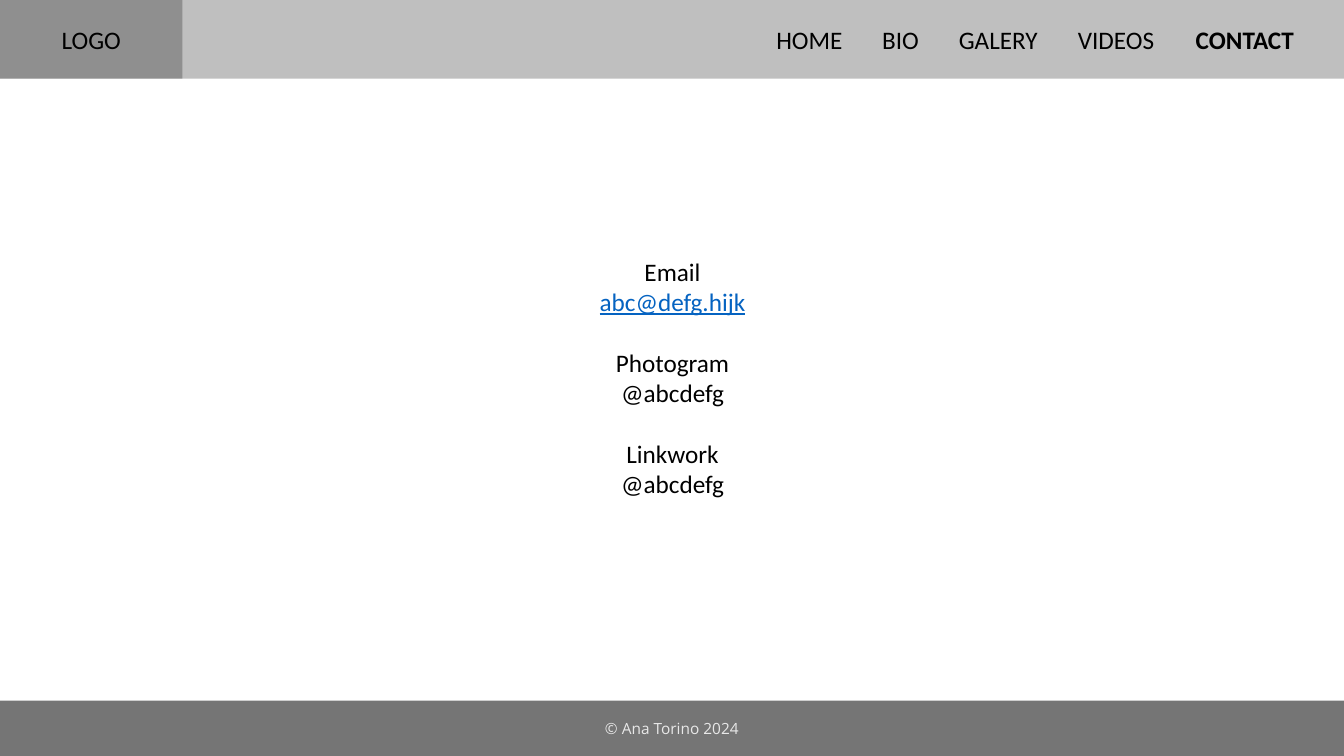
"""Build the contact page of a website wireframe."""
from dataclasses import dataclass

from lxml.etree import SubElement
from pptx import Presentation
from pptx.dml.color import RGBColor
from pptx.enum.shapes import MSO_SHAPE
from pptx.enum.text import MSO_ANCHOR, PP_ALIGN
from pptx.oxml.ns import qn
from pptx.util import Inches, Pt

LOGO = "LOGO"
MENU = [("HOME", 7.7), ("BIO", 8.75), ("GALERY", 9.51), ("VIDEOS", 10.69), ("CONTACT", 11.86)]
CURRENT = "CONTACT"
CONTACTS = [
    ("Email", "abc@defg.hijk"),
    ("Photogram", "@abcdefg"),
    ("Linkwork", "@abcdefg"),
]
FOOTER = "© Ana Torino 2024"

PAGE_WIDTH, PAGE_HEIGHT = 13.33, 7.5
HEADER_HEIGHT, FOOTER_HEIGHT, LOGO_WIDTH = 0.78, 0.55, 1.81


@dataclass(frozen=True)
class Theme:
    ink: RGBColor = RGBColor(0, 0, 0)
    link: RGBColor = RGBColor(0x05, 0x63, 0xC1)
    pale: RGBColor = RGBColor(0xE8, 0xE8, 0xE8)
    body_font: str = "Calibri"
    footer_font: str = "Open Sans"
    body_size: int = 18
    footer_size: int = 11
    group_gap: int = 22
    header_opacity: int = 25
    footer_opacity: int = 54


THEME = Theme()


def style(para, color=THEME.ink, font=THEME.body_font, size=THEME.body_size):
    para.alignment = PP_ALIGN.CENTER
    para.font.name = font
    para.font.size = Pt(size)
    para.font.color.rgb = color


def add_band(page, top, width, height, opacity):
    band = page.shapes.add_shape(
        MSO_SHAPE.RECTANGLE, Inches(0), Inches(top), Inches(width), Inches(height))
    band.shadow.inherit = False
    band.line.fill.background()
    band.fill.solid()
    band.fill.fore_color.rgb = THEME.ink
    color = band.element.spPr.find(qn("a:solidFill"))[0]
    SubElement(color, qn("a:alpha"), val=str(opacity * 1000))
    band.text_frame.vertical_anchor = MSO_ANCHOR.MIDDLE
    return band.text_frame


def fill_menu(frame):
    first_left = MENU[0][1]
    frame.margin_left, frame.margin_right = Inches(first_left), 0
    para = frame.paragraphs[0]
    tabs = SubElement(para._p.get_or_add_pPr(), qn("a:tabLst"))
    for position, (label, left) in enumerate(MENU):
        if position:
            SubElement(tabs, qn("a:tab"), pos=str(Inches(left - first_left)), algn="l")
        span = para.add_run()
        span.text = f"\t{label}" if position else label
        span.font.bold = label == CURRENT
    style(para)
    para.alignment = PP_ALIGN.LEFT


def add_contacts(page):
    box = page.shapes.add_textbox(Inches(3.31), Inches(2.49), Inches(6.72), Inches(2.52))
    frame = box.text_frame
    frame.word_wrap = True
    for group, (channel, address) in enumerate(CONTACTS):
        heading = frame.add_paragraph() if group else frame.paragraphs[0]
        heading.text = channel
        style(heading)
        if group:
            heading.space_before = Pt(THEME.group_gap)
        detail = frame.add_paragraph()
        detail.text = address
        is_email = channel == "Email"
        style(detail, THEME.link if is_email else THEME.ink)
        detail.font.underline = is_email


def main():
    deck = Presentation()
    deck.slide_width, deck.slide_height = Inches(PAGE_WIDTH), Inches(PAGE_HEIGHT)
    page = deck.slides.add_slide(deck.slide_layouts[6])
    fill_menu(add_band(page, 0, PAGE_WIDTH, HEADER_HEIGHT, THEME.header_opacity))
    logo = add_band(page, 0, LOGO_WIDTH, HEADER_HEIGHT, THEME.header_opacity)
    logo.text = LOGO
    style(logo.paragraphs[0])
    add_contacts(page)
    footer = add_band(page, PAGE_HEIGHT - FOOTER_HEIGHT, PAGE_WIDTH, FOOTER_HEIGHT,
                      THEME.footer_opacity)
    footer.text = FOOTER
    style(footer.paragraphs[0], THEME.pale, THEME.footer_font, THEME.footer_size)
    deck.save("out.pptx")


if __name__ == "__main__":
    main()
